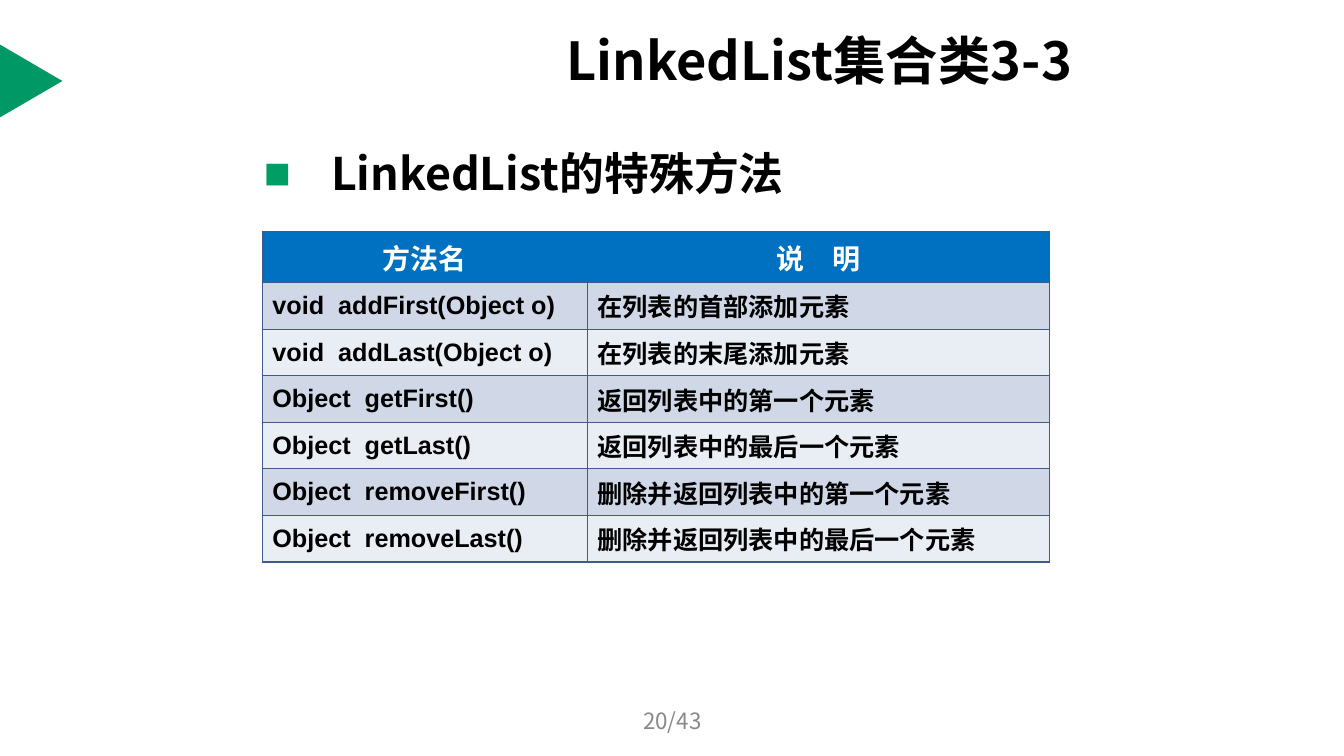
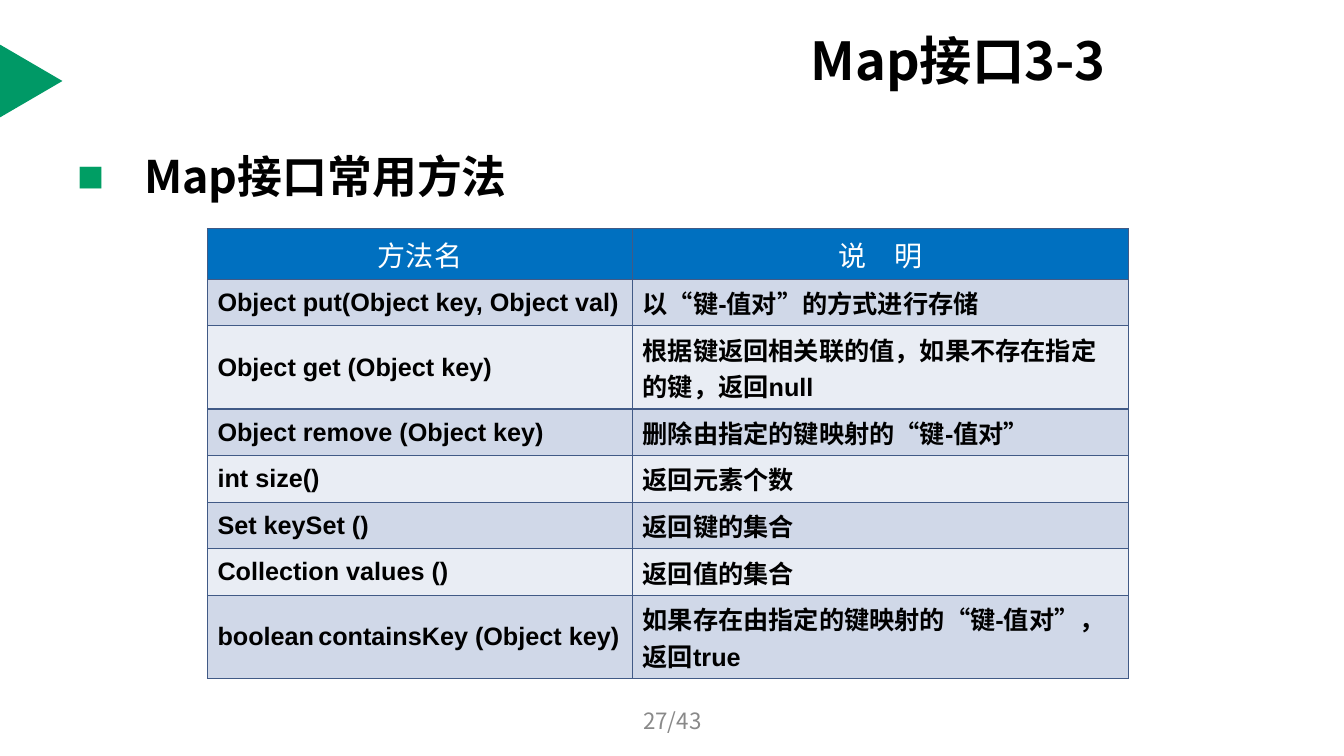
import pptx
import pptx.util
import pptx.dml.color
import pptx.enum.shapes
import pptx.enum.text
import pptx.oxml
import pptx.oxml.ns
import lxml.etree

Pt = pptx.util.Pt
RGB = pptx.dml.color.RGBColor
ALIGN = pptx.enum.text.PP_ALIGN
ANCHOR = pptx.enum.text.MSO_ANCHOR
qn = pptx.oxml.ns.qn

# Shared look
BLACK = RGB(0x00, 0x00, 0x00)
WHITE = RGB(0xFF, 0xFF, 0xFF)
GRAY = RGB(0x89, 0x89, 0x89)
GREEN = RGB(0x00, 0x99, 0x66)
BULLET = RGB(0x00, 0x9E, 0x64)
HEAD = RGB(0x00, 0x70, 0xC0)
BANDS = (RGB(0xD0, 0xD8, 0xE8), RGB(0xE9, 0xED, 0xF4))
EDGE = RGB(0x41, 0x5A, 0x86)
SANS = "Noto Sans CJK SC"
CODE = "Arial"
HEAD_H, LINE_H, WRAP_H = 36.2, 33.3, 59.4
HEADER = ("方法名", "说　明")


def style(para, size, color, bold=False, face=SANS, align=ALIGN.LEFT):
    para.alignment = align
    font = para.font
    font.size, font.bold, font.name = Pt(size), bold, face
    font.color.rgb = color
    props = para._p.pPr.find(qn("a:defRPr"))
    lxml.etree.SubElement(props, qn("a:ea")).set("typeface", SANS)


def write(slide, box, text):
    shape = slide.shapes.add_textbox(*map(Pt, box))
    frame = shape.text_frame
    frame.word_wrap = True
    frame.text = text
    return frame


def add_title(slide, box, text):
    shape = slide.shapes.title
    shape.left, shape.top, shape.width, shape.height = map(Pt, box)
    frame = shape.text_frame
    frame.text = text
    frame.word_wrap = True
    frame.auto_size = pptx.enum.text.MSO_AUTO_SIZE.NONE
    frame.vertical_anchor = ANCHOR.MIDDLE
    style(frame.paragraphs[0], 37.4, BLACK, True)


def add_mark(slide):
    kind = pptx.enum.shapes.MSO_SHAPE.ISOSCELES_TRIANGLE
    mark = slide.shapes.add_shape(kind, Pt(-3.7), Pt(35.6), Pt(52), Pt(44.6))
    mark.rotation = 90
    mark.shadow.inherit = False
    mark.fill.solid()
    mark.fill.fore_color.rgb = GREEN
    mark.line.fill.background()


def add_point(slide, box, text):
    para = write(slide, box, text).paragraphs[0]
    props = para._p.get_or_add_pPr()
    props.set("marL", str(Pt(48)))
    props.set("indent", str(-Pt(48)))
    color = lxml.etree.SubElement(props, qn("a:buClr"))
    lxml.etree.SubElement(color, qn("a:srgbClr")).set("val", str(BULLET))
    lxml.etree.SubElement(props, qn("a:buFont")).set("typeface", CODE)
    lxml.etree.SubElement(props, qn("a:buChar")).set("char", "■")
    style(para, 32, BLACK, True)


def add_page(slide, text):
    frame = write(slide, (328.3, 500.4, 303.8, 28.8), text)
    frame.vertical_anchor = ANCHOR.MIDDLE
    style(frame.paragraphs[0], 16, GRAY, align=ALIGN.CENTER)


def add_edges(cell):
    props = cell._tc.get_or_add_tcPr()
    for side in ("lnL", "lnR", "lnT", "lnB"):
        line = lxml.etree.SubElement(props, qn("a:" + side))
        line.set("w", str(Pt(1)))
        fill = lxml.etree.SubElement(line, qn("a:solidFill"))
        lxml.etree.SubElement(fill, qn("a:srgbClr")).set("val", str(EDGE))


def add_grid(slide, left, top, widths, rows, tall=(), bold=True, face=CODE):
    """Method table; tall lists the rows whose text takes two lines."""
    rows = [HEADER, *rows]
    highs = [HEAD_H] + [WRAP_H if i in tall else LINE_H
                        for i in range(1, len(rows))]
    grid = slide.shapes.add_table(len(rows), len(widths), Pt(left), Pt(top),
                                  Pt(sum(widths)), Pt(sum(highs))).table
    grid.horz_banding = False
    for col, width in zip(grid.columns, widths):
        col.width = Pt(width)
    for i, (texts, high) in enumerate(zip(rows, highs)):
        grid.rows[i].height = Pt(high)
        for j, text in enumerate(texts):
            cell = grid.cell(i, j)
            add_edges(cell)
            cell.fill.solid()
            cell.fill.fore_color.rgb = BANDS[(i - 1) % 2] if i else HEAD
            cell.vertical_anchor = ANCHOR.MIDDLE if i else ANCHOR.TOP
            cell.text = text
            para = cell.text_frame.paragraphs[0]
            if i:
                style(para, 18, BLACK, True, CODE)
            else:
                style(para, 20, WHITE, bold, face, ALIGN.CENTER)


def add_slide(deck, title, box, page):
    slide = deck.slides.add_slide(deck.slide_layouts[5])
    add_mark(slide)
    add_title(slide, box, title)
    add_page(slide, page)
    return slide


LIST = (
    ("void  addFirst(Object o)", "在列表的首部添加元素"),
    ("void  addLast(Object o)", "在列表的末尾添加元素"),
    ("Object  getFirst()", "返回列表中的第一个元素"),
    ("Object  getLast()", "返回列表中的最后一个元素"),
    ("Object  removeFirst()", "删除并返回列表中的第一个元素"),
    ("Object  removeLast()", "删除并返回列表中的最后一个元素"),
)
MAP = (
    ("Object put(Object key, Object val)", "以“键-值对”的方式进行存储"),
    ("Object get (Object key)",
     "根据键返回相关联的值，如果不存在指定的键，返回null"),
    ("Object remove (Object key)", "删除由指定的键映射的“键-值对”"),
    ("int size()", "返回元素个数"),
    ("Set keySet ()", "返回键的集合"),
    ("Collection values ()", "返回值的集合"),
    ("boolean\tcontainsKey (Object key)",
     "如果存在由指定的键映射的“键-值对”，返回true"),
)


def main():
    deck = pptx.Presentation()
    deck.slide_width, deck.slide_height = Pt(960), Pt(540)

    # LinkedList methods
    slide = add_slide(deck, "LinkedList集合类3-3",
                      (397.4, 22.3, 428.4, 41), "20/43")
    add_point(slide, (181.4, 100.8, 596, 54), "LinkedList的特殊方法")
    add_grid(slide, 187.4, 165.6, (232.2, 330.3), LIST)

    # Map methods
    slide = add_slide(deck, "Map接口3-3",
                      (571.7, 22.3, 254.2, 41), "27/43")
    add_point(slide, (48, 103, 864, 54), "Map接口常用方法")
    add_grid(slide, 148.2, 163.3, (303.7, 354.2), MAP,
             tall=(2, 7), bold=False, face=SANS)

    deck.save("out.pptx")


if __name__ == "__main__":
    main()
